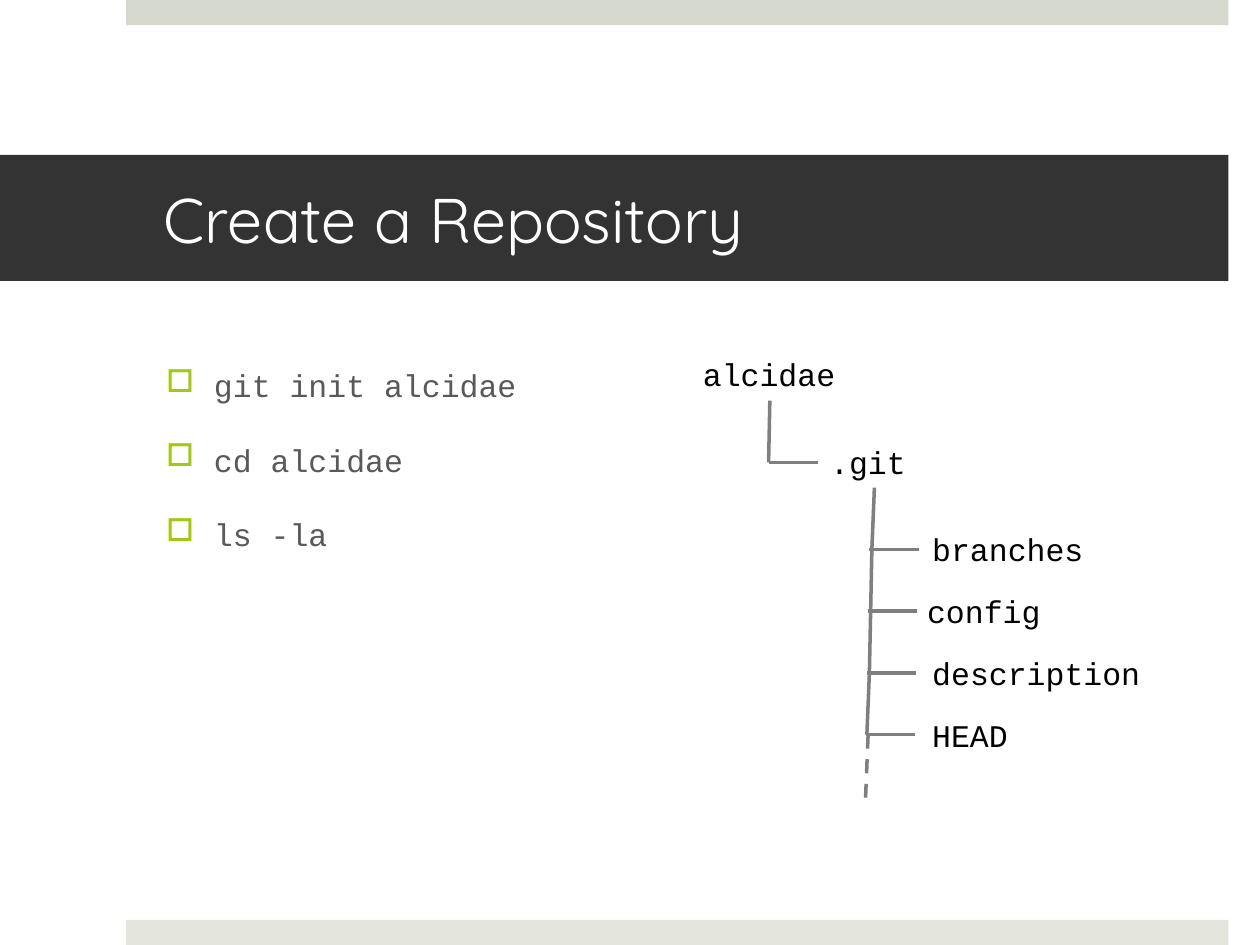
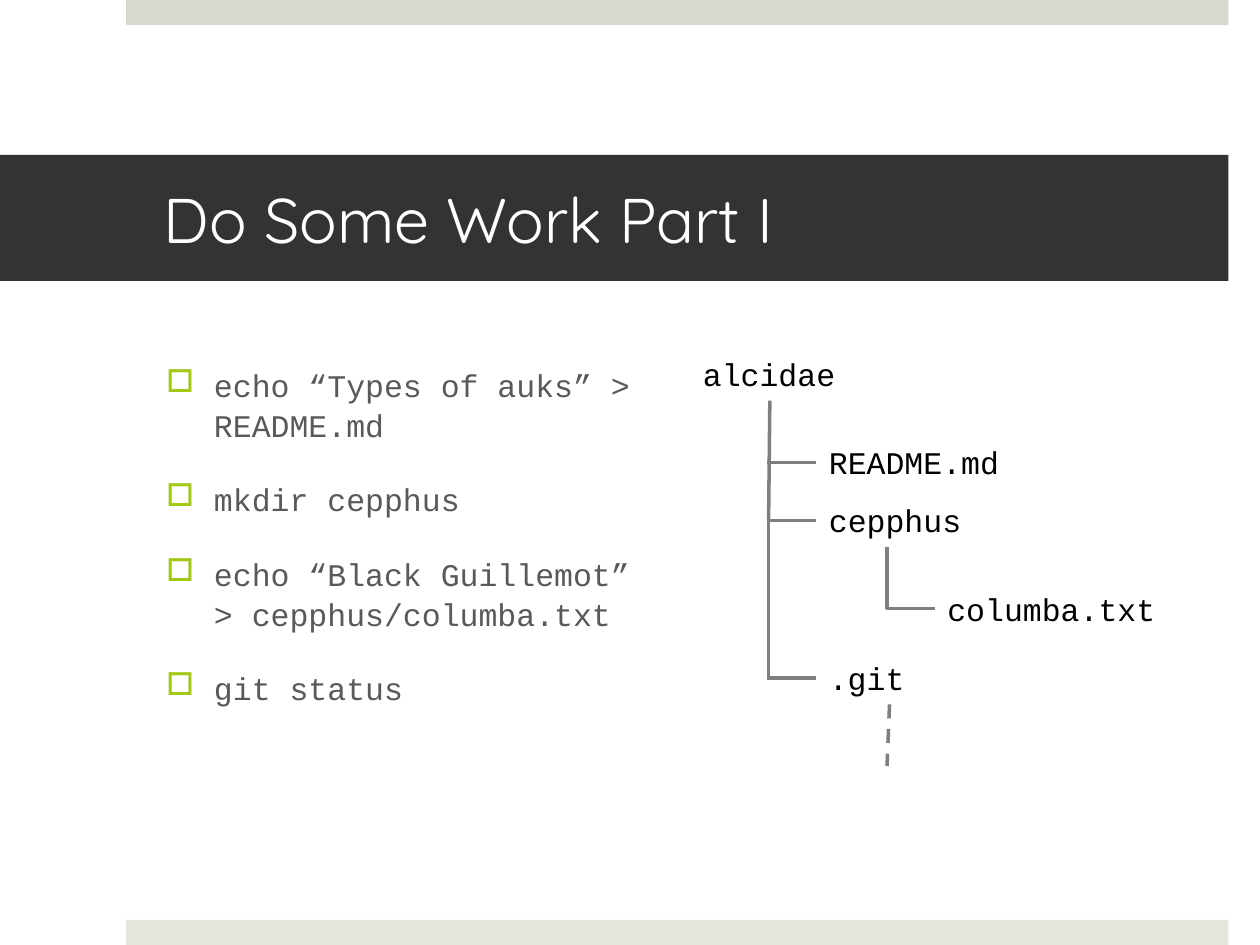
from itertools import pairwise

from lxml import etree
from pptx import Presentation
from pptx.dml.color import RGBColor
from pptx.enum.dml import MSO_LINE
from pptx.enum.shapes import MSO_CONNECTOR as CONN, MSO_SHAPE as SHAPE
from pptx.enum.text import MSO_ANCHOR as ANCHOR, MSO_AUTO_SIZE as AUTO, PP_ALIGN as ALIGN
from pptx.oxml.ns import qn
from pptx.util import Inches, Pt


def rgb(color):
    return RGBColor.from_string(color)


class Deck:
    TITLE_FONT, CODE_FONT = "Quicksand", "Courier New"
    TITLE_BAND, TOP_BAND, BOTTOM_BAND = "333333", "D6D9CD", "E4E6DE"
    WHITE, BLACK, BODY, BULLET, LINE = "FFFFFF", "000000", "595959", "A2C816", "7F7F7F"
    CHAR_WIDTH, LABEL_HEIGHT, STUB = 0.15, 0.4, 0.39

    def __init__(self):
        self.prs = Presentation()
        self.prs.slide_width, self.prs.slide_height = Inches(10), Inches(7.5)

    def new_slide(self, title):
        self.s = self.prs.slides.add_slide(self.prs.slide_layouts[5])
        self.band(0, self.TOP_BAND)
        self.band(7.3, self.BOTTOM_BAND)
        self.title(title)

    def band(self, y, color):
        sp = self.s.shapes.add_shape(SHAPE.RECTANGLE, Inches(1), Inches(y),
                                     Inches(8.75), Inches(0.2))
        sp.shadow.inherit = False
        sp.fill.solid()
        sp.fill.fore_color.rgb = rgb(color)
        sp.line.fill.background()

    def run(self, p, text, size, font, color):
        r = p.add_run()
        r.text = text
        r.font.size, r.font.name = Pt(size), font
        r.font.color.rgb = rgb(color)

    def title(self, text):
        sp = self.s.shapes.title
        sp.left, sp.top, sp.width, sp.height = map(Inches, (0, 1.23, 9.75, 1))
        sp.fill.solid()
        sp.fill.fore_color.rgb = rgb(self.TITLE_BAND)
        tf = sp.text_frame
        tf.auto_size, tf.vertical_anchor = AUTO.NONE, ANCHOR.MIDDLE
        tf.margin_left, tf.margin_right = Inches(1.3), Inches(0.3)
        p = tf.paragraphs[0]
        p.alignment = ALIGN.LEFT
        self.run(p, text, 36, self.TITLE_FONT, self.WHITE)

    def commands(self, *lines):
        sp = self.s.shapes.add_textbox(Inches(1.22), Inches(2.84), Inches(3.9), Inches(4.03))
        tf = sp.text_frame
        tf.word_wrap = True
        for i, line in enumerate(lines):
            p = tf.add_paragraph() if i else tf.paragraphs[0]
            p.space_before, p.line_spacing = Pt(20), 1.05
            self.bullet(p)
            self.run(p, line, 18, self.CODE_FONT, self.BODY)

    def bullet(self, p):
        pPr = p._p.get_or_add_pPr()
        pPr.set("marL", str(Inches(0.38)))
        pPr.set("indent", str(-Inches(0.38)))
        color = etree.SubElement(pPr, qn("a:buClr"))
        etree.SubElement(color, qn("a:srgbClr"), val=self.BULLET)
        etree.SubElement(pPr, qn("a:buChar"), char="□")

    def label(self, text, x, y):
        """Write a file name in a box that fits it; y is the middle."""
        width = 0.2 + self.CHAR_WIDTH * len(text)
        sp = self.s.shapes.add_textbox(Inches(x), Inches(y - self.LABEL_HEIGHT / 2),
                                       Inches(width), Inches(self.LABEL_HEIGHT))
        tf = sp.text_frame
        tf.word_wrap, tf.auto_size = False, AUTO.SHAPE_TO_FIT_TEXT
        self.run(tf.paragraphs[0], text, 18, self.CODE_FONT, self.BLACK)

    def line(self, start, end, dashed=False):
        c = self.s.shapes.add_connector(CONN.STRAIGHT, *map(Inches, (*start, *end)))
        c.line.color.rgb, c.line.width = rgb(self.LINE), Pt(2)
        if dashed:
            c.line.dash_style = MSO_LINE.DASH
        etree.SubElement(c._element.spPr, qn("a:effectLst"))

    def trunk(self, *points):
        for start, end in pairwise(points):
            self.line(start, end)

    def entry(self, text, x, y, text_x=None):
        """Draw a stub from the trunk at x, with the file name at its end."""
        end = x + self.STUB
        self.line((x, y), (end, y))
        self.label(text, end if text_x is None else text_x, y)


def create_repository(deck):
    deck.new_slide("Create a Repository")
    deck.commands("git init alcidae", "cd alcidae", "ls -la")

    # Root folder
    deck.label("alcidae", 5.48, 2.97)
    deck.trunk((6.11, 3.18), (6.1, 3.67))
    deck.entry(".git", 6.1, 3.67)

    # Contents of .git
    step = 0.49
    trunk_xs = (6.94, 6.92, 6.91, 6.9, 6.88)
    deck.trunk(*((x, 3.87 + step * i) for i, x in enumerate(trunk_xs)))
    entries = (("branches", 7.3), ("config", 7.26), ("description", 7.3), ("HEAD", 7.3))
    for i, (name, text_x) in enumerate(entries):
        deck.entry(name, 6.9 - 0.01 * i, 4.36 + step * i, text_x)
    deck.line((6.89, 5.83), (6.87, 6.33), dashed=True)


def do_some_work(deck):
    deck.new_slide("Do Some Work Part I")
    deck.commands("echo “Types of auks” > README.md", "mkdir cepphus",
                  "echo “Black Guillemot” > cepphus/columba.txt", "git status")

    # Root folder
    deck.label("alcidae", 5.48, 2.97)
    deck.trunk((6.11, 3.18), (6.1, 4.13), (6.1, 5.38))
    for name, y in (("README.md", 3.67), ("cepphus", 4.13), (".git", 5.38)):
        deck.entry(name, 6.09, y)

    # Contents of cepphus and .git
    deck.trunk((7.04, 4.34), (7.04, 4.83))
    deck.entry("columba.txt", 7.03, 4.83)
    deck.line((7.06, 5.59), (7.04, 6.08), dashed=True)


def main():
    deck = Deck()
    create_repository(deck)
    do_some_work(deck)
    deck.prs.save("out.pptx")


if __name__ == "__main__":
    main()
